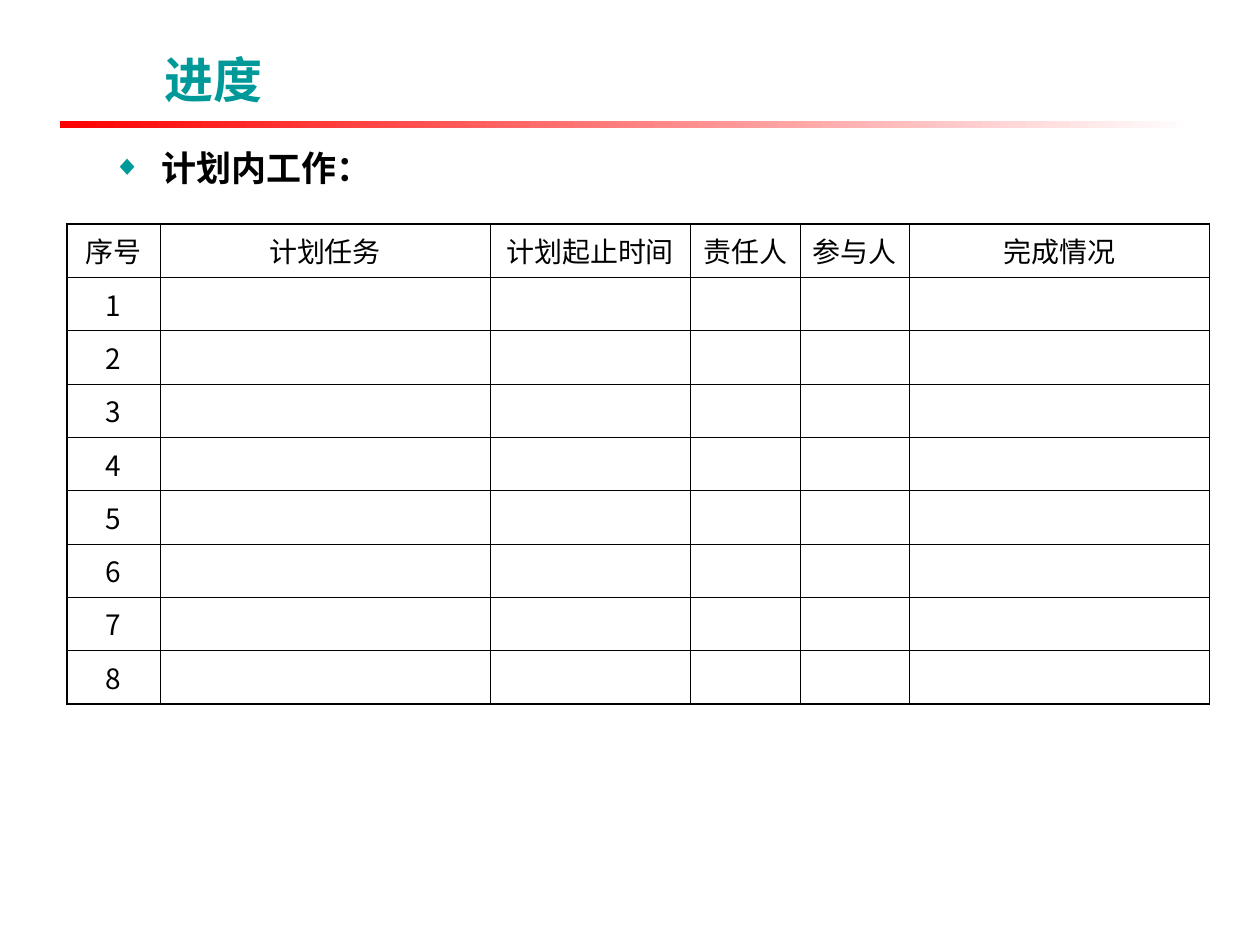
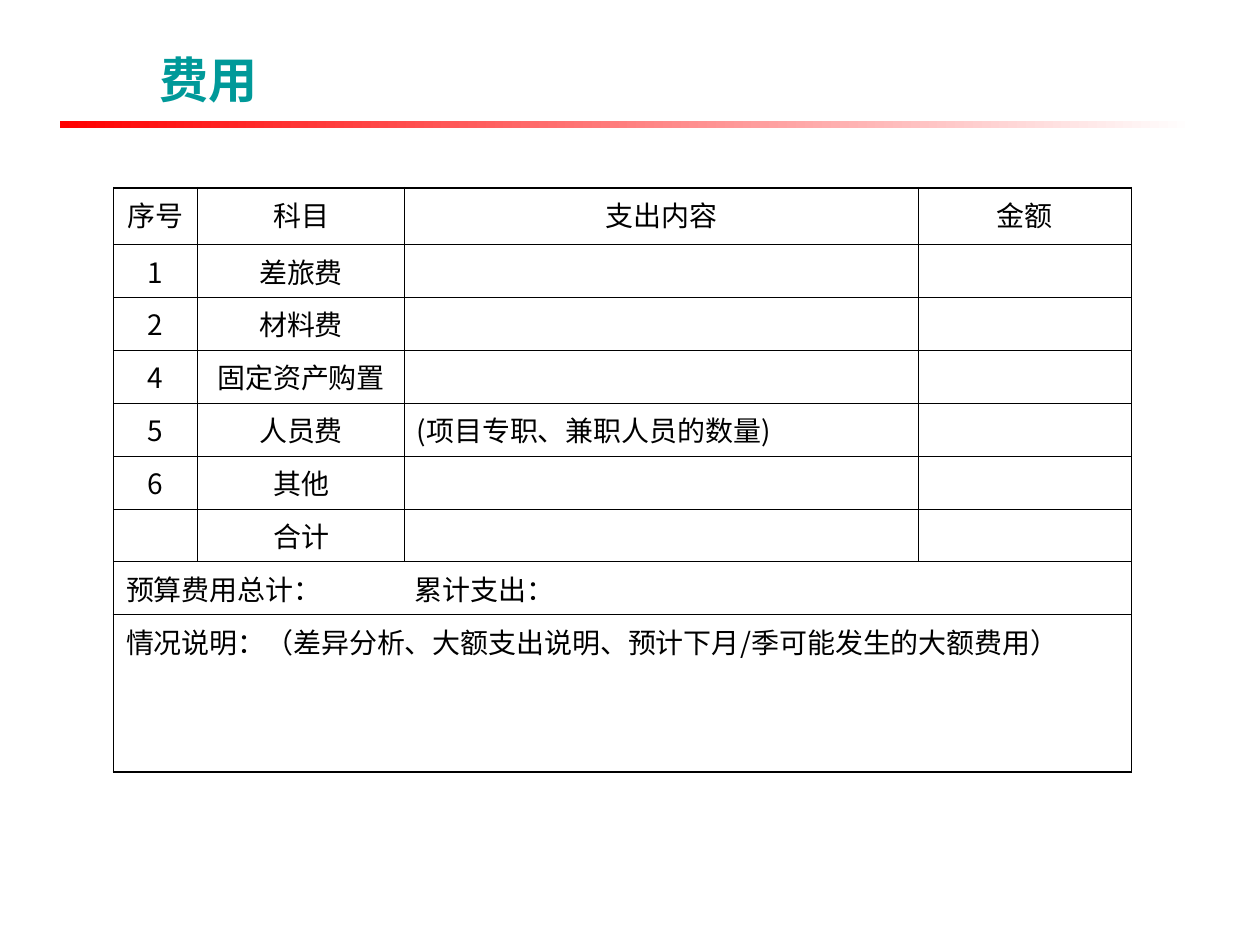
from lxml import etree
from pptx import Presentation, util as u
from pptx.dml.color import RGBColor
from pptx.enum import shapes, text
from pptx.oxml import ns

TEAL = RGBColor(0x00, 0x99, 0x99)
RED = RGBColor(0xFF, 0x00, 0x00)
WHITE = RGBColor(0xFF, 0xFF, 0xFF)
BLACK = RGBColor(0x00, 0x00, 0x00)

GRID = u.Inches(0.1)
COLS, ROWS = 100, 75
CJK = "Noto Sans CJK SC"
THIN, THICK = 0.45, 1.08
CENTER, LEFT = text.PP_ALIGN.CENTER, text.PP_ALIGN.LEFT

TITLE = dict(size=u.Pt(28), bold=True, name="Arial", color=TEAL)
HEADING = dict(size=u.Pt(20), bold=True, name="Arial", color=BLACK)
CELL = dict(size=u.Pt(16), bold=False, name=CJK, color=BLACK)


def grid(*cells):
    """Turn grid columns and rows into lengths."""
    return [u.Emu(round(n * GRID)) for n in cells]


def add(parent, tag, **attrs):
    """Append a DrawingML element and return it."""
    return etree.SubElement(parent, ns.qn(tag), {k: str(v) for k, v in attrs.items()})


def write(p, words, style):
    """Add one styled run to a paragraph."""
    r = p.add_run()
    r.text = words
    for key, value in style.items():
        if key == "color":
            r.font.color.rgb = value
        else:
            setattr(r.font, key, value)
    add(r.font._element, "a:ea", typeface=CJK)


def text_box(s, box, anchor):
    """Add a wrapping text box and return its first paragraph."""
    tf = s.shapes.add_textbox(*grid(*box)).text_frame
    for key, value in dict(word_wrap=True, vertical_anchor=anchor).items():
        setattr(tf, key, value)
    return tf.paragraphs[0]


def titled_slide(prs, title, left):
    """Start a slide with the fading rule and its title."""
    s = prs.slides.add_slide(prs.slide_layouts[6])
    rule = s.shapes.add_shape(shapes.MSO_SHAPE.RECTANGLE, *grid(4.8, 9.6, 90, 0.6))
    rule.shadow.inherit = False
    rule.line.fill.background()
    rule.fill.gradient()
    rule.fill.gradient_angle = 180
    for stop, color in zip(rule.fill.gradient_stops, (WHITE, RED)):
        stop.color.rgb = color
    p = text_box(s, (left, 2.8, 83.5, 6.3), text.MSO_ANCHOR.BOTTOM)
    write(p, title, TITLE)
    return s


def bullet_heading(s, box, words):
    """Write a heading with a diamond bullet."""
    p = text_box(s, box, text.MSO_ANCHOR.TOP)
    indent = u.Inches(0.38)
    pPr = p._p.get_or_add_pPr()
    pPr.set("marL", str(indent))
    pPr.set("indent", str(-indent))
    add(add(pPr, "a:buClr"), "a:srgbClr", val=TEAL)
    add(pPr, "a:buSzPct", val=80000)
    add(pPr, "a:buFont", typeface="Arial")
    add(pPr, "a:buChar", char="◆")
    write(p, words, HEADING)


def borders(cell, widths):
    """Draw the left, right, top and bottom lines of a cell."""
    tcPr = cell._tc.get_or_add_tcPr()
    for side, width in zip("LRTB", widths):
        ln = add(tcPr, f"a:ln{side}", w=u.Pt(width))
        add(add(ln, "a:solidFill"), "a:srgbClr", val=BLACK)


def ruled_table(s, origin, widths, heights, rows, thick_left):
    """Draw a ruled table; rows named in thick_left get a thick left edge."""
    last_row, last_col = len(heights) - 1, len(widths) - 1
    box = grid(*origin, sum(widths), sum(heights))
    tbl = s.shapes.add_table(len(heights), len(widths), *box).table
    tbl.first_row = tbl.horz_banding = False
    for lines, sizes, key in ((tbl.columns, widths, "width"), (tbl.rows, heights, "height")):
        for line, size in zip(lines, grid(*sizes)):
            setattr(line, key, size)
    for i, row in enumerate(rows):
        for j in range(len(widths)):
            cell = tbl.cell(i, j)
            edges = (j == 0 and i in thick_left, j == last_col, i == 0, i == last_row)
            borders(cell, [THICK if edge else THIN for edge in edges])
            cell.fill.background()
            if j < len(row) and row[j]:
                p = cell.text_frame.paragraphs[0]
                p.alignment = CENTER
                write(p, row[j], CELL)
    return tbl


def span_row(tbl, i, words, tab=None):
    """Merge a whole row and write left-aligned text with an optional tab stop."""
    cell = tbl.cell(i, 0)
    cell.merge(tbl.cell(i, len(tbl.columns) - 1))
    p = cell.text_frame.paragraphs[0]
    p.alignment = LEFT
    if tab:
        add(add(p._p.get_or_add_pPr(), "a:tabLst"), "a:tab", pos=grid(tab)[0], algn="l")
    write(p, words, CELL)


def schedule_slide(prs):
    """Build the schedule slide with its table of planned tasks."""
    s = titled_slide(prs, "进度", 12.1)
    bullet_heading(s, (8, 11.1, 87.8, 5), "计划内工作：")
    head = ["序号", "计划任务", "计划起止时间", "责任人", "参与人", "完成情况"]
    rows = [head] + [[str(n)] for n in range(1, 9)]
    ruled_table(s, (5.3, 17.8), [7.4, 26.2, 15.9, 8.7, 8.7, 23.8],
                [4.23] * len(rows), rows, range(len(rows)))


def cost_slide(prs):
    """Build the cost slide with its expense table and notes."""
    s = titled_slide(prs, "费用", 11.7)
    rows = [["序号", "科目", "支出内容", "金额"], ["1", "差旅费"], ["2", "材料费"],
            ["4", "固定资产购置"], ["5", "人员费"], ["6", "其他"], ["", "合计"], [], []]
    tbl = ruled_table(s, (9, 14.9), [6.7, 16.4, 40.8, 16.9],
                      [4.5] + [4.2] * 7 + [12.5], rows, (7, 8))
    write(tbl.cell(4, 2).text_frame.paragraphs[0], "(项目专职、兼职人员的数量)", CELL)
    span_row(tbl, 7, "预算费用总计：\t累计支出：", 22.9)
    span_row(tbl, 8, "情况说明：（差异分析、大额支出说明、预计下月/季可能发生的大额费用）")


def main():
    """Build both slides and save the file."""
    prs = Presentation()
    prs.slide_width, prs.slide_height = grid(COLS, ROWS)
    schedule_slide(prs)
    cost_slide(prs)
    prs.save("out.pptx")


if __name__ == "__main__":
    main()
